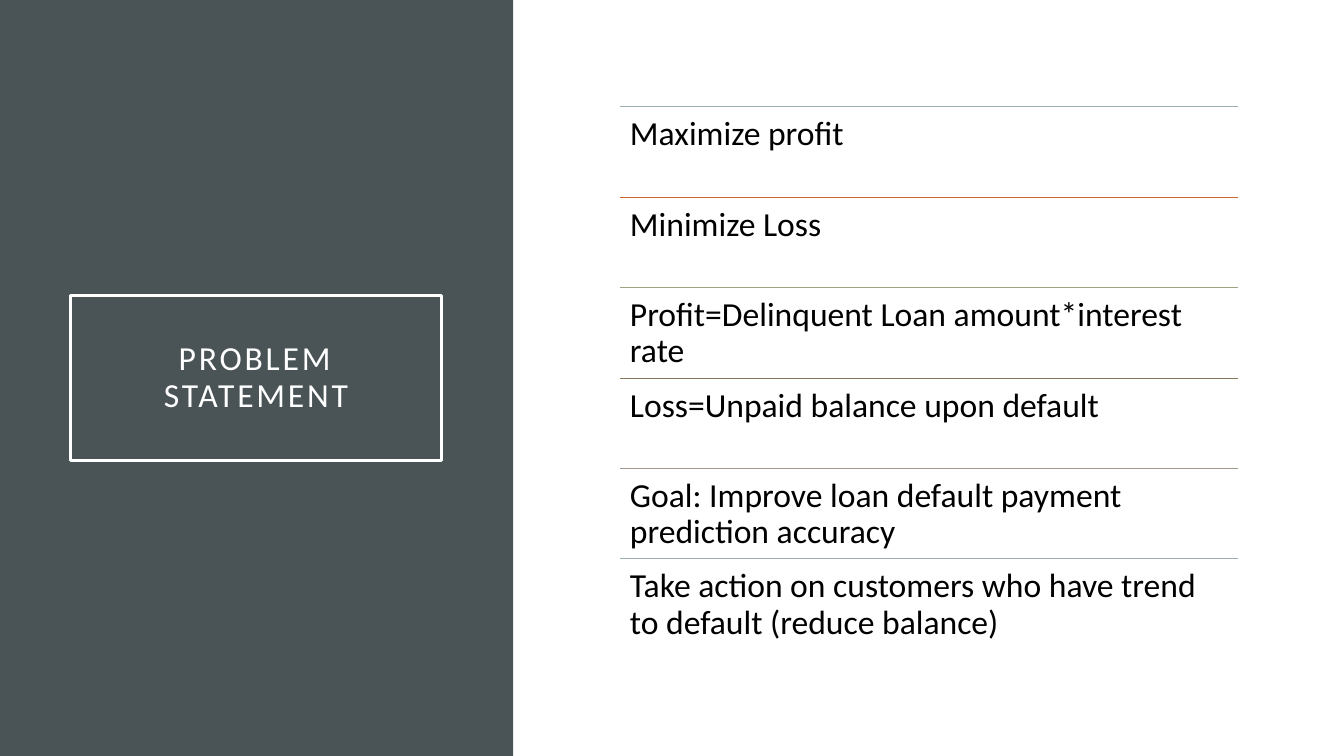
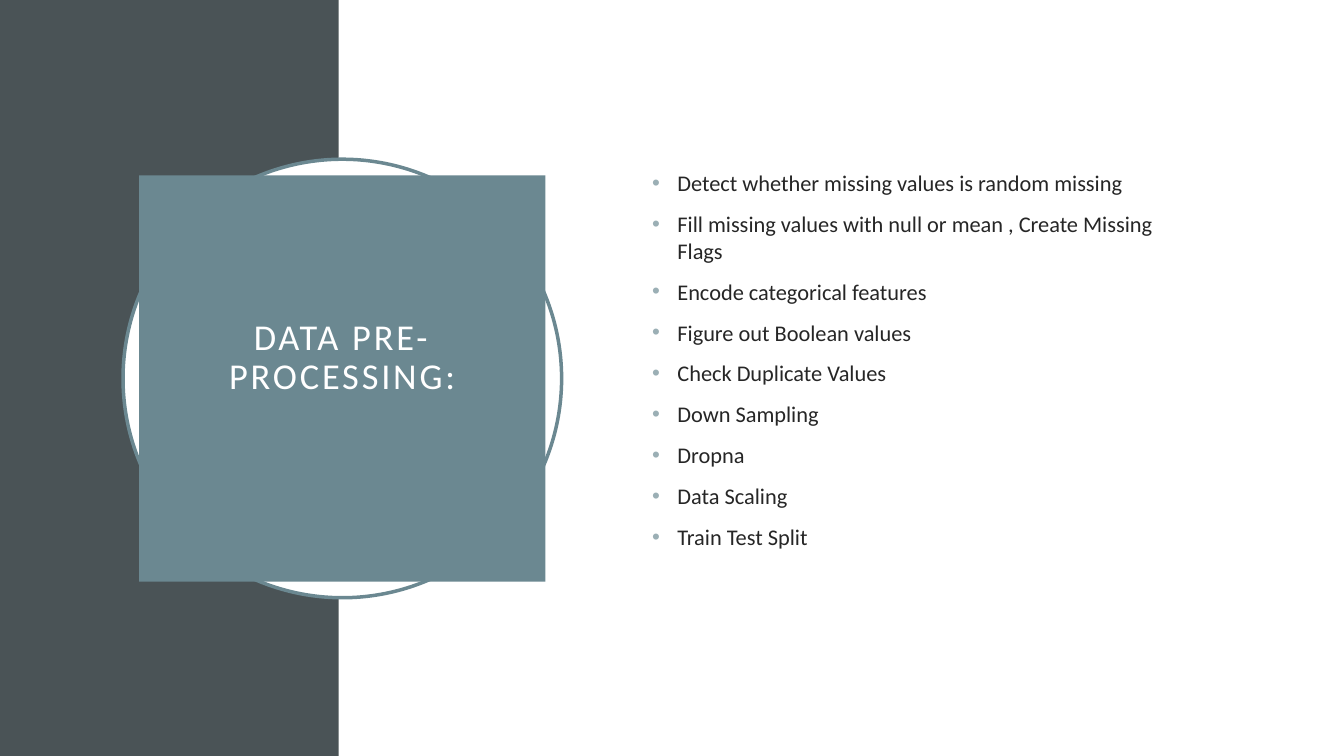
from lxml import etree
from pptx import Presentation
from pptx.dml.color import RGBColor
from pptx.enum.shapes import MSO_CONNECTOR as Link, MSO_SHAPE as Shape
from pptx.enum.text import MSO_ANCHOR as Anchor, MSO_AUTO_SIZE as Fit, PP_ALIGN as Align
from pptx.oxml.ns import qn
from pptx.util import Inches, Pt

FONT = "Calibri"
WHITE = RGBColor(0xFF, 0xFF, 0xFF)
BLACK = RGBColor(0x00, 0x00, 0x00)
INK = RGBColor(0x26, 0x26, 0x26)
SLATE = RGBColor(0x4A, 0x53, 0x56)
TEAL = RGBColor(0x6B, 0x88, 0x91)
MIST = RGBColor(0x9B, 0xAF, 0xB5)
RUST = RGBColor(0xC9, 0x67, 0x31)
SAGE = RGBColor(0x9C, 0xA3, 0x83)
UMBER = RGBColor(0x87, 0x79, 0x5D)
STONE = RGBColor(0xA0, 0x98, 0x8C)

TALL = 7.5
GOALS = [
    ("Maximize profit", MIST),
    ("Minimize Loss", RUST),
    ("Profit=Delinquent Loan amount*interest rate", SAGE),
    ("Loss=Unpaid balance upon default", UMBER),
    ("Goal: Improve loan default payment prediction accuracy", STONE),
    ("Take action on customers who have trend to default (reduce balance)", MIST),
]
STEPS = [
    "Detect whether missing values is random missing",
    "Fill missing values with null or mean , Create Missing Flags",
    "Encode categorical features",
    "Figure out Boolean values",
    "Check Duplicate Values",
    "Down Sampling",
    "Dropna",
    "Data Scaling",
    "Train Test Split",
]


def mark(para, color):
    """Give a paragraph a hanging round bullet."""
    props = para._p.get_or_add_pPr()
    props.set("marL", str(Inches(0.5)))
    props.set("indent", str(Inches(-0.25)))
    tint = etree.SubElement(props, qn("a:buClr"))
    etree.SubElement(tint, qn("a:srgbClr"), val=str(color))
    etree.SubElement(props, qn("a:buFont"), typeface="Arial")
    etree.SubElement(props, qn("a:buChar"), char="•")


def write(shape, lines, size, color, align=Align.LEFT, anchor=Anchor.TOP,
          inset=(0.1, 0.05, 0.1, 0.05), lead=1.0, gap=0, track=0, bullet=None):
    """Fill a shape with one paragraph a line; inset runs left, top, right, bottom."""
    frame = shape.text_frame
    frame.word_wrap = True
    frame.auto_size = Fit.NONE
    frame.vertical_anchor = anchor
    (frame.margin_left, frame.margin_top,
     frame.margin_right, frame.margin_bottom) = map(Inches, inset)
    for i, line in enumerate(lines):
        para = frame.add_paragraph() if i else frame.paragraphs[0]
        para.alignment = align
        para.line_spacing = lead
        para.space_before = Pt(gap if i else 0)
        if bullet is not None:
            mark(para, bullet)
        run = para.add_run()
        run.text = line
        run.font.name = FONT
        run.font.size = Pt(size)
        run.font.color.rgb = color
        if track:
            run.font._element.set("spc", str(track * 100))


def paint(shape, fill=None, line=None):
    if fill is None:
        shape.fill.background()
    else:
        shape.fill.solid()
        shape.fill.fore_color.rgb = fill
    if line is None:
        shape.line.fill.background()
    else:
        shape.line.color.rgb = line
        shape.line.width = Pt(2.5)


def draw(slide, kind, box, **look):
    shape = slide.shapes.add_shape(kind, *map(Inches, box))
    shape.shadow.inherit = False
    paint(shape, **look)


def band(slide, width):
    draw(slide, Shape.RECTANGLE, (0, 0, width, TALL), fill=SLATE)


def head(slide, words, box, size, low=0.2, **look):
    """Place the title above the shapes drawn so far; low is its bottom inset."""
    title = slide.shapes.title
    slide.shapes.element.append(title.element)
    title.left, title.top, title.width, title.height = map(Inches, box)
    paint(title, **look)
    write(title, [words], size, WHITE, align=Align.CENTER, anchor=Anchor.MIDDLE,
          inset=(0.2, 0.2, 0.2, low), lead=0.9, track=2)


def rule(slide, left, top, width, color):
    line = slide.shapes.add_connector(
        Link.STRAIGHT, *map(Inches, (left, top, left + width, top)))
    line.line.color.rgb = color
    line.line.width = Pt(0.5)
    etree.SubElement(line._element.spPr, qn("a:effectLst"))


def rows(slide, box, items):
    """Stack equal rows of text, each under its own coloured rule."""
    left, top, width, height = box
    step = height / len(items)
    for i, (words, color) in enumerate(items):
        y = top + i * step
        rule(slide, left, y, width, color)
        cell = slide.shapes.add_textbox(*map(Inches, (left, y, width, step)))
        write(cell, [words], 24, BLACK, inset=(0.1,) * 4, lead=0.9)


def problem(slide):
    band(slide, 5.09)
    head(slide, "PROBLEM STATEMENT", (0.7, 2.93, 3.68, 1.64), 24, line=WHITE)
    rows(slide, (6.15, 1.06, 6.13, 5.38), GOALS)


def badge(slide, words, box):
    """Set the title in a square, with a ring showing behind its sides."""
    left, top, side = box
    rim = 0.16
    ring = side + 2 * rim
    draw(slide, Shape.OVAL, (left - rim, top - rim, ring, ring), fill=WHITE, line=TEAL)
    head(slide, words, (left, top, side, side), 26, low=0.6, fill=TEAL)


def process(slide):
    band(slide, 3.36)
    badge(slide, "DATA PRE-PROCESSING:", (1.38, 1.74, 4.03))
    body = slide.shapes.add_textbox(*map(Inches, (6.12, 1.63, 5.82, 4.33)))
    write(body, STEPS, 16, INK, gap=10, bullet=MIST)


def main():
    deck = Presentation()
    deck.slide_width = Inches(13.33)
    deck.slide_height = Inches(TALL)
    for build in (problem, process):
        build(deck.slides.add_slide(deck.slide_layouts[5]))
    deck.save("out.pptx")


if __name__ == "__main__":
    main()
